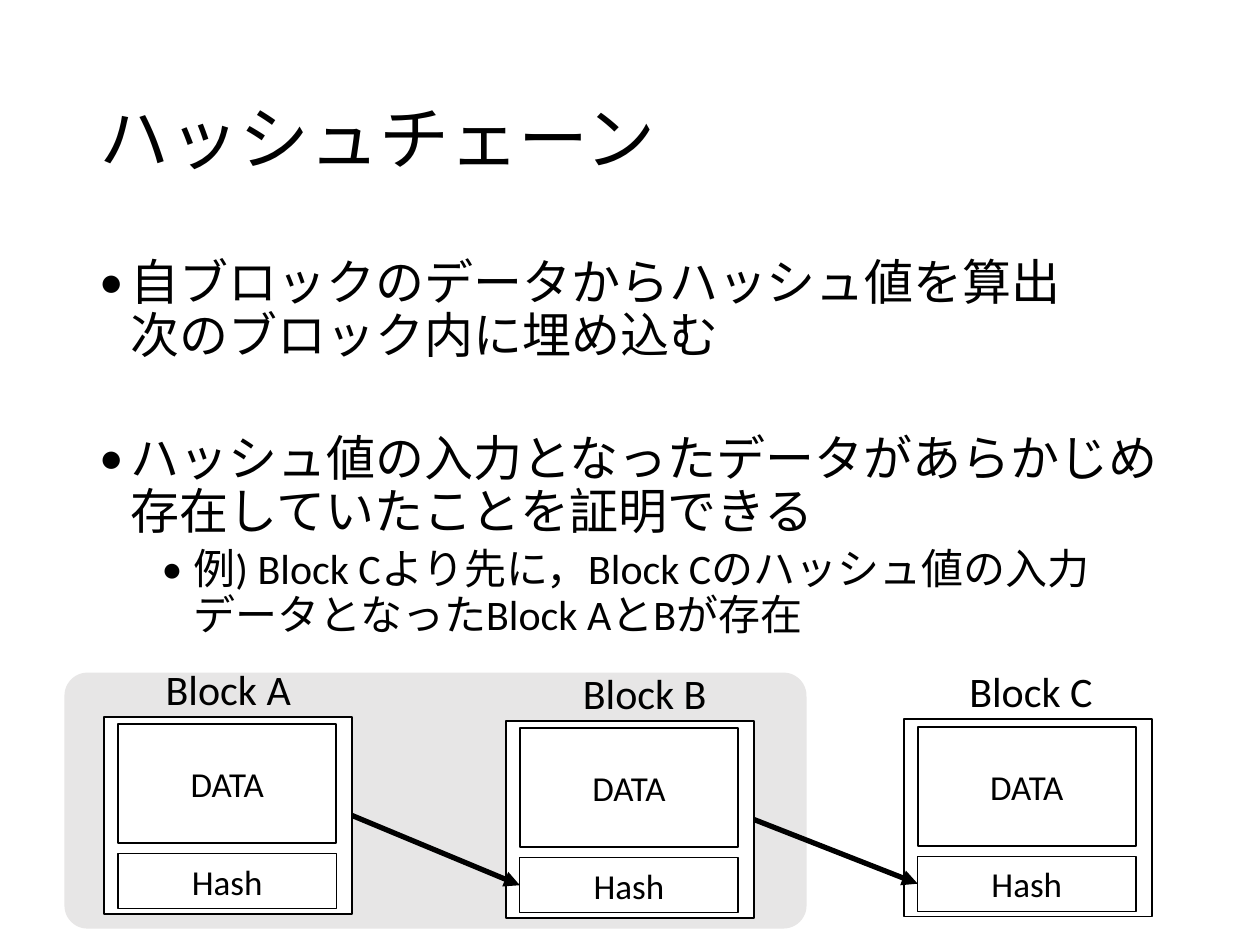
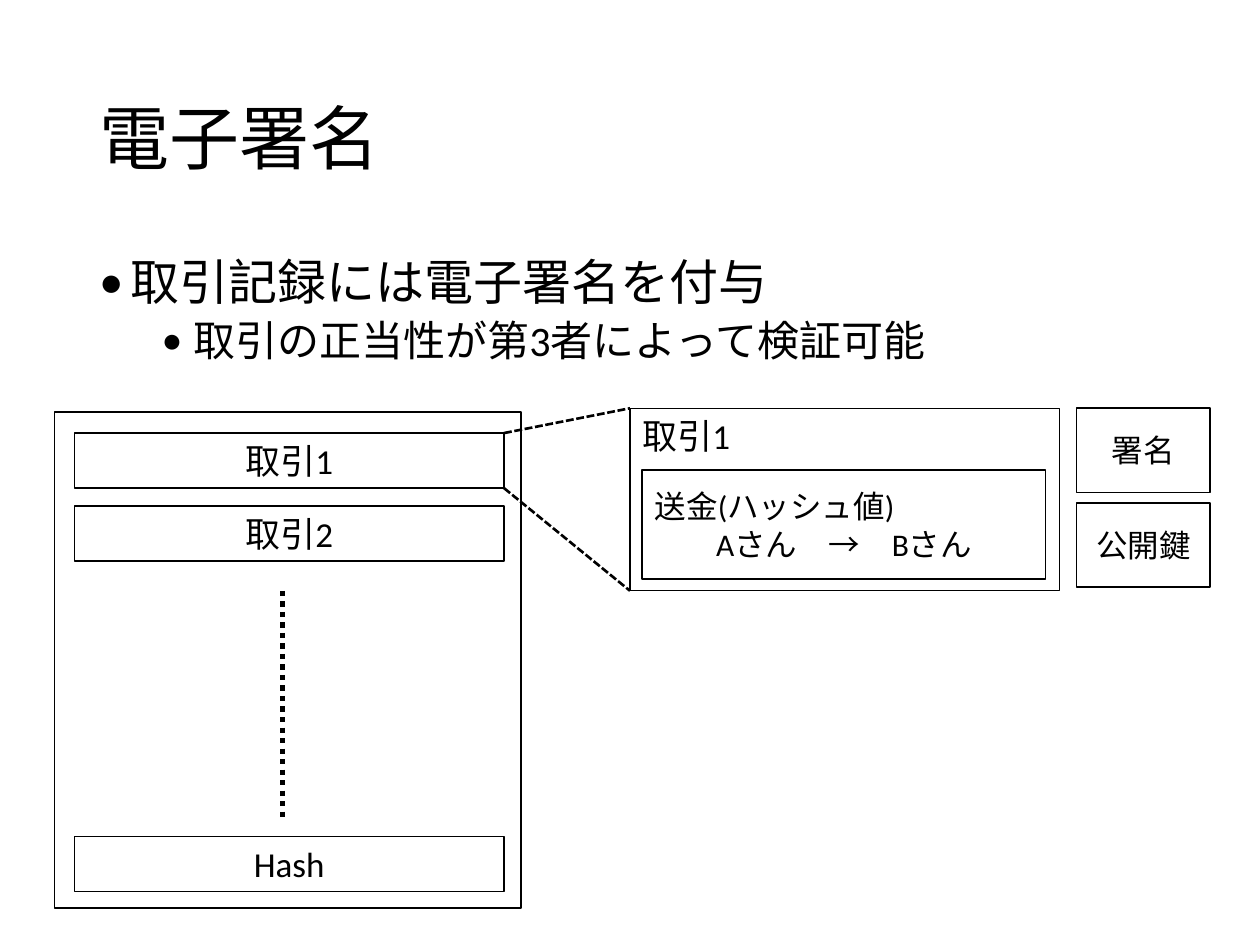
from pptx import Presentation
from pptx import util as u
from pptx.dml.color import RGBColor
from pptx.enum import dml, shapes, text
from pptx.oxml import xmlchemy
from pptx.oxml.ns import qn
from lxml import etree

BLACK = RGBColor(0x00, 0x00, 0x00)
WHITE = RGBColor(0xFF, 0xFF, 0xFF)
PALE_GREY = RGBColor(0xE7, 0xE6, 0xE6)
FONT = "Calibri"
CENTER = text.PP_ALIGN.CENTER
LEFT = text.PP_ALIGN.LEFT
BULLET_LEVELS = {0: (28, 0.64), 1: (24, 1.9)}
HANGING = 0.64


def style_font(paragraph, size):
    """Apply the shared font in the given point size."""
    paragraph.font.name = FONT
    paragraph.font.size = u.Pt(size)
    paragraph.font.color.rgb = BLACK


def add_box(slide, left, top, width, height, lines=(), size=20, weight=0.75,
            fill=None, anchor=text.MSO_ANCHOR.MIDDLE):
    """Add an outlined rectangle whose lines are (wording, alignment) pairs."""
    shape = slide.shapes.add_shape(shapes.MSO_SHAPE.RECTANGLE, u.Cm(left), u.Cm(top),
                                   u.Cm(width), u.Cm(height))
    shape.shadow.inherit = False
    if fill is None:
        shape.fill.background()
    else:
        shape.fill.solid()
        shape.fill.fore_color.rgb = fill
    shape.line.color.rgb = BLACK
    shape.line.width = u.Pt(weight)
    frame = shape.text_frame
    frame.word_wrap = True
    frame.vertical_anchor = anchor
    for index, (wording, alignment) in enumerate(lines):
        paragraph = frame.add_paragraph() if index else frame.paragraphs[0]
        paragraph.text = wording
        paragraph.alignment = alignment
        style_font(paragraph, size)
    return shape


def add_line(slide, start, end, weight, dash=None, arrow=False):
    """Add a straight black line between two points."""
    connector = slide.shapes.add_connector(shapes.MSO_CONNECTOR.STRAIGHT, *start, *end)
    connector.line.color.rgb = BLACK
    connector.line.width = u.Pt(weight)
    if dash is not None:
        connector.line.dash_style = dash
    properties = connector.element.spPr
    if arrow:
        etree.SubElement(properties.find(qn("a:ln")), qn("a:tailEnd"), type="triangle")
    etree.SubElement(properties, qn("a:effectLst"))


def add_titled_slide(presentation, title):
    """Add a title-only slide and format its title."""
    slide = presentation.slides.add_slide(presentation.slide_layouts[5])
    placeholder = slide.shapes.title
    placeholder.left, placeholder.top = u.Cm(1.75), u.Cm(1.02)
    placeholder.width, placeholder.height = u.Cm(21.9), u.Cm(3.68)
    frame = placeholder.text_frame
    frame.text = title
    frame.vertical_anchor = text.MSO_ANCHOR.MIDDLE
    frame.auto_size = text.MSO_AUTO_SIZE.NONE
    paragraph = frame.paragraphs[0]
    paragraph.alignment = LEFT
    paragraph.line_spacing = 0.9
    style_font(paragraph, 40)
    return slide


def add_bullets(slide, height, items):
    """Add the bullet list; items are (level, space before, wording)."""
    box = slide.shapes.add_textbox(u.Cm(1.75), u.Cm(5.08), u.Cm(21.9), u.Cm(height))
    frame = box.text_frame
    frame.word_wrap = True
    for index, (level, space, wording) in enumerate(items):
        paragraph = frame.add_paragraph() if index else frame.paragraphs[0]
        paragraph.text = wording
        paragraph.level = level
        size, indent = BULLET_LEVELS[level]
        properties = paragraph._p.get_or_add_pPr()
        properties.set("marL", str(u.Cm(indent)))
        properties.set("indent", str(-u.Cm(HANGING)))
        etree.SubElement(properties, qn("a:buFont"), typeface=FONT)
        etree.SubElement(properties, qn("a:buChar"), char="•")
        paragraph.line_spacing = 0.9
        paragraph.space_before = u.Pt(space)
        style_font(paragraph, size)


def add_block(slide, left, top, name, name_offset):
    """Add one named block and return its frame and its hash field."""
    frame = add_box(slide, left, top, 5, 3.98, weight=1, fill=WHITE)
    hash_field = add_box(slide, left + 0.28, top + 2.76, 4.4, 1.11, [("Hash", CENTER)])
    add_box(slide, left + 0.28, top + 0.15, 4.4, 2.4, [("DATA", CENTER)], weight=1)
    label = slide.shapes.add_textbox(u.Cm(left + name_offset), u.Cm(top - 1.2),
                                     u.Cm(4.78), u.Cm(1.28))
    label.text_frame.word_wrap = True
    label.text_frame.text = name
    style_font(label.text_frame.paragraphs[0], 24)
    return frame, hash_field


def add_chain(slide):
    """Draw the three blocks linked from each block to the next hash."""
    blocks = [add_block(slide, *block) for block in (
        (2.1, 14.45, "Block A", 0.99),
        (10.2, 14.53, "Block B", 1.3),
        (18.22, 14.5, "Block C", 1.07),
    )]
    for (frame, _), (_, hash_field) in zip(blocks, blocks[1:]):
        add_line(slide, (frame.left + frame.width, frame.top + frame.height // 2),
                 (hash_field.left, hash_field.top + hash_field.height // 2), 3, arrow=True)


def add_proven_area(slide, left, top, width, height):
    """Add the rounded backdrop behind the blocks proven to exist."""
    area = slide.shapes.add_shape(shapes.MSO_SHAPE.ROUNDED_RECTANGLE, u.Cm(left), u.Cm(top),
                                  u.Cm(width), u.Cm(height))
    area.adjustments[0] = 0.09
    area.shadow.inherit = False
    area.fill.solid()
    area.fill.fore_color.rgb = PALE_GREY
    area.line.fill.background()


def add_ledger(slide, left, top):
    """Draw the block of transactions and return its first row."""
    add_box(slide, left, top, 9.4, 10, weight=1, fill=WHITE)
    rows = [add_box(slide, left + 0.4, top + offset, 8.66, 1.11, [(wording, CENTER)])
            for wording, offset in (("取引1", 0.43), ("取引2", 1.9), ("Hash", 8.56))]
    middle = u.Cm(left + 4.6)
    add_line(slide, (middle, u.Cm(top + 3.61)), (middle, u.Cm(top + 8.23)), 3,
             dml.MSO_LINE.ROUND_DOT)
    return rows[0]


def add_transaction(slide, left, top):
    """Draw the enlarged transaction with its signature and key; return its frame."""
    frame = add_box(slide, left, top, 8.66, 3.68, [("取引1", LEFT)],
                    anchor=text.MSO_ANCHOR.TOP)
    add_box(slide, left + 0.25, top + 1.25, 8.13, 2.2,
            [("送金(ハッシュ値)", LEFT), ("Aさん　→　Bさん", CENTER)], size=18, weight=1)
    for index, wording in enumerate(("署名", "公開鍵")):
        add_box(slide, left + 9, top + 1.91 * index, 2.7, 1.7, [(wording, CENTER)],
                size=18, weight=1)
    return frame


def build_hash_chain(presentation):
    """Build the hash chain slide."""
    slide = add_titled_slide(presentation, "ハッシュチェーン")
    add_proven_area(slide, 1.3, 13.56, 14.96, 5.16)
    add_bullets(slide, 8.4, [
        (0, 0, "自ブロックのデータからハッシュ値を算出\v次のブロック内に埋め込む"),
        (0, 40, "ハッシュ値の入力となったデータがあらかじめ存在していたことを証明できる"),
        (1, 5, "例) Block Cより先に，Block Cのハッシュ値の入力データとなったBlock AとBが存在"),
    ])
    add_chain(slide)


def build_signature(presentation):
    """Build the digital signature slide."""
    slide = add_titled_slide(presentation, "電子署名")
    add_bullets(slide, 3, [
        (0, 0, "取引記録には電子署名を付与"),
        (1, 5, "取引の正当性が第3者によって検証可能"),
    ])
    row = add_ledger(slide, 1.1, 8.3)
    detail = add_transaction(slide, 12.7, 8.23)
    for row_y, detail_y in ((row.top, detail.top),
                            (row.top + row.height, detail.top + detail.height)):
        add_line(slide, (row.left + row.width, row_y), (detail.left, detail_y), 1.5,
                 dml.MSO_LINE.SQUARE_DOT)


def main():
    """Build and save the presentation."""
    presentation = Presentation()
    presentation.slide_width, presentation.slide_height = u.Cm(25.4), u.Cm(19.05)
    build_hash_chain(presentation)
    build_signature(presentation)
    presentation.save("out.pptx")


if __name__ == "__main__":
    main()
